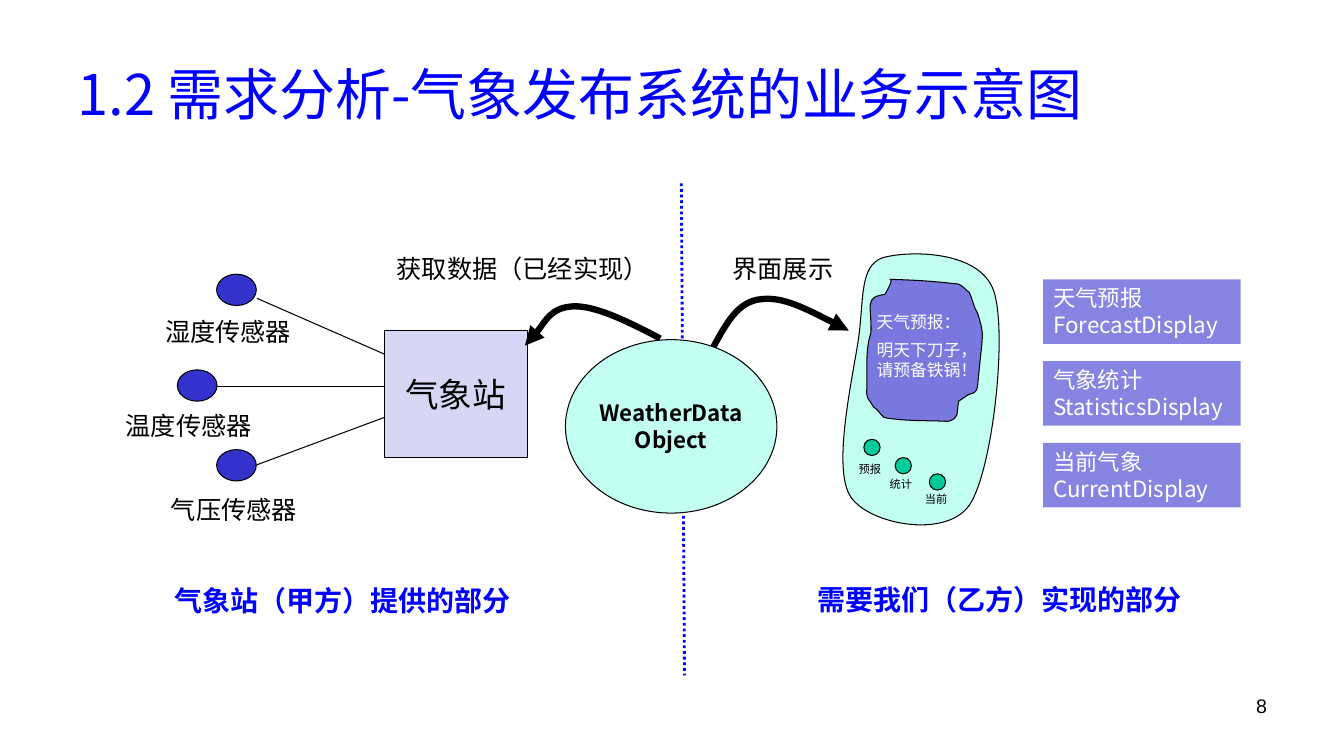
from dataclasses import dataclass

import pptx
import pptx.dml.color
import pptx.enum.dml
import pptx.enum.shapes
import pptx.enum.text
import pptx.oxml
import pptx.oxml.ns
import pptx.util
from lxml import etree

Cm, Pt = pptx.util.Cm, pptx.util.Pt
RGBColor = pptx.dml.color.RGBColor
Align = pptx.enum.text.PP_ALIGN
Anchor = pptx.enum.text.MSO_ANCHOR
Shape = pptx.enum.shapes.MSO_SHAPE
qn = pptx.oxml.ns.qn

FONT = "Noto Sans CJK SC"
BLACK = RGBColor(0x00, 0x00, 0x00)
WHITE = RGBColor(0xFF, 0xFF, 0xFF)
BLUE = RGBColor(0x00, 0x00, 0xFF)
SENSOR_BLUE = RGBColor(0x33, 0x33, 0xCC)
LAVENDER = RGBColor(0xD6, 0xD6, 0xF5)
MINT = RGBColor(0xC2, 0xFF, 0xF0)
VIOLET = RGBColor(0x78, 0x78, 0xDE)
GREEN = RGBColor(0x00, 0xCC, 0x99)

Point = tuple[float, float]
Box = tuple[float, float, float, float]


@dataclass(frozen=True)
class Sensor:
    name: str
    dot: Point
    label: Point
    wire_start: Point
    wire_end: Point


@dataclass(frozen=True)
class Label:
    text: str
    box: Box
    size: float = 18
    color: RGBColor = BLACK
    bold: bool = False


@dataclass(frozen=True)
class Button:
    name: str
    dot: Point
    label: Point


# All coordinates are in centimetres
SENSORS = [
    Sensor("湿度传感器", (5.46, 6.91), (3.91, 7.85), (6.48, 7.52), (9.68, 8.92)),
    Sensor("温度传感器", (4.47, 9.32), (2.92, 10.21), (5.46, 9.73), (9.68, 9.73)),
    Sensor("气压传感器", (5.46, 11.33), (4.06, 12.34), (6.48, 11.71), (9.68, 10.52)),
]
LABELS = [
    Label("获取数据（已经实现）", (9.75, 6.25, 6.93, 1.02)),
    Label("界面展示", (18.21, 6.25, 3.18, 1.02)),
    Label("气象站（甲方）提供的部分", (4.14, 14.58, 9.53, 1.12), 20, BLUE, True),
    Label("需要我们（乙方）实现的部分", (20.35, 14.55, 10.08, 1.12), 20, BLUE, True),
]
BUTTONS = [
    Button("预报", (21.77, 11.07), (21.39, 11.53)),
    Button("统计", (22.56, 11.53), (22.17, 11.91)),
    Button("当前", (23.42, 11.94), (23.06, 12.27)),
]
DISPLAYS = ["天气预报\nForecastDisplay", "气象统计\nStatisticsDisplay", "当前气象CurrentDisplay"]

# Curves: a start point, then two control points and an end point per segment
PHONE_BODY = [
    (21.64, 8.51),
    (21.49, 9.53), (20.96, 11.81), (21.44, 12.52),
    (21.89, 13.21), (23.83, 13.59), (24.43, 12.73),
    (25.02, 11.86), (25.4, 8.36), (25.04, 7.32),
    (24.66, 6.27), (22.81, 6.32), (22.23, 6.5),
    (21.67, 6.71), (21.77, 7.52), (21.64, 8.51),
]
PHONE_SCREEN = [
    (22.43, 7.04),
    (23.14, 7.06), (23.55, 7.09), (24.16, 7.16),
    (24.28, 7.21), (24.31, 7.29), (24.43, 7.37),
    (24.51, 7.54), (24.54, 7.75), (24.64, 7.9),
    (24.82, 8.51), (24.77, 8.28), (24.64, 9.7),
    (24.61, 9.96), (24.51, 9.88), (24.38, 9.96),
    (24.31, 10.01), (24.16, 10.11), (24.16, 10.11),
    (24.1, 10.46), (24.18, 10.52), (23.9, 10.62),
    (23.37, 10.59), (22.78, 10.62), (22.28, 10.52),
    (22.15, 10.41), (22.15, 10.34), (22.02, 10.26),
    (21.84, 9.98), (21.89, 10.11), (21.84, 9.91),
    (21.87, 9.4), (21.79, 8.86), (21.95, 8.38),
    (21.97, 7.7), (21.77, 7.49), (22.3, 7.42),
    (22.33, 7.37), (22.53, 7.04), (22.43, 7.04),
]
DATA_ARROW = [(16.64, 8.53), (15.82, 8.1), (15.01, 7.7), (14.45, 7.72),
              (13.87, 7.75), (13.44, 8.56), (13.23, 8.71)]
VIEW_ARROW = [(17.98, 8.74), (18.29, 8.18), (18.59, 7.59), (19.18, 7.54),
              (19.74, 7.47), (20.55, 7.9), (21.39, 8.33)]


def write(frame, text: str, *, size: float, color: RGBColor = BLACK, bold: bool = False,
          align=Align.LEFT, anchor=Anchor.TOP, wrap: bool = True, gap: float = 0,
          font: str = FONT) -> None:
    frame.word_wrap = wrap
    frame.vertical_anchor = anchor
    for index, line in enumerate(text.split("\n")):
        para = frame.paragraphs[0] if index == 0 else frame.add_paragraph()
        para.alignment = align
        para.space_before = Pt(gap if index else 0)
        span = para.add_run()
        span.text = line
        span.font.name, span.font.size, span.font.bold = font, Pt(size), bold
        span.font.color.rgb = color
        east_asian = etree.SubElement(span.font._element, qn("a:ea"))
        east_asian.set("typeface", font)


def add_text(shapes, text: str, box: Box, **style) -> None:
    write(shapes.add_textbox(*map(Cm, box)).text_frame, text, **style)


def paint(shape, fill: RGBColor | None, line: RGBColor | None = BLACK, width: float = 0.75) -> None:
    shape.shadow.inherit = False
    if fill is None:
        shape.fill.background()
    else:
        shape.fill.solid()
        shape.fill.fore_color.rgb = fill
    if line is None:
        shape.line.fill.background()
    else:
        shape.line.color.rgb = line
        shape.line.width = Pt(width)


def add_preset(shapes, kind, box: Box, fill: RGBColor, line: RGBColor | None = BLACK):
    shape = shapes.add_shape(kind, *map(Cm, box))
    paint(shape, fill, line)
    return shape


def add_line(shapes, start: Point, end: Point, color: RGBColor = BLACK, width: float = 0.75):
    line = shapes.add_connector(pptx.enum.shapes.MSO_CONNECTOR.STRAIGHT, *map(Cm, start + end))
    line.line.color.rgb = color
    line.line.width = Pt(width)
    etree.SubElement(line._element.spPr, qn("a:effectLst"))
    return line


def add_curve(shapes, points: list[Point], closed: bool):
    corners = [(Cm(x), Cm(y)) for x, y in points]
    builder = shapes.build_freeform(*corners[0])
    builder.add_line_segments(corners[1:], close=closed)
    shape = builder.convert_to_shape()
    # Join every three line segments into one Bezier segment
    segments = list(shape._element.iter(qn("a:lnTo")))
    for first in range(0, len(segments), 3):
        bezier = etree.Element(qn("a:cubicBezTo"))
        segments[first].addprevious(bezier)
        for segment in segments[first:first + 3]:
            bezier.append(segment[0])
            segment.getparent().remove(segment)
    return shape


def add_arrow(shapes, points: list[Point]) -> None:
    arrow = add_curve(shapes, points, closed=False)
    paint(arrow, None, width=4.5)
    etree.SubElement(arrow.line._get_or_add_ln(), qn("a:tailEnd")).set("type", "triangle")


def add_display(shapes, text: str, box: Box) -> None:
    display = add_preset(shapes, Shape.RECTANGLE, box, VIOLET, None)
    tint = display._element.spPr.find(".//" + qn("a:srgbClr"))
    etree.SubElement(tint, qn("a:alpha")).set("val", "90000")
    write(display.text_frame, text, size=16, color=WHITE)


def main() -> None:
    deck = pptx.Presentation()
    deck.slide_width, deck.slide_height = Cm(33.87), Cm(19.05)
    page = deck.slides.add_slide(deck.slide_layouts[5])
    shapes = page.shapes

    # Title and page number
    title = shapes.title
    title.left, title.top, title.width, title.height = map(Cm, (1.7, 0.76, 30.48, 3.18))
    write(title.text_frame, "1.2 需求分析-气象发布系统的业务示意图", size=40, color=BLUE,
          anchor=Anchor.MIDDLE)
    add_text(shapes, "8", (24.28, 17.35, 7.9, 1.32), size=14, align=Align.RIGHT, font="Arial")

    # Weather station and its sensors
    station = add_preset(shapes, Shape.RECTANGLE, (9.68, 8.33, 3.61, 3.2), LAVENDER)
    write(station.text_frame, "气象站", size=24, align=Align.CENTER, anchor=Anchor.MIDDLE, wrap=False)
    for sensor in SENSORS:
        add_preset(shapes, Shape.OVAL, (*sensor.dot, 1, 0.79), SENSOR_BLUE)
        add_text(shapes, sensor.name, (*sensor.label, 4.8, 1.02), size=18)
        add_line(shapes, sensor.wire_start, sensor.wire_end)

    # Handheld device
    phone = shapes.add_group_shape().shapes
    paint(add_curve(phone, PHONE_BODY, closed=True), MINT)
    paint(add_curve(phone, PHONE_SCREEN, closed=True), VIOLET)
    add_text(phone, "天气预报：\n明天下刀子，请预备铁锅！", (21.84, 7.72, 2.79, 2.06),
             size=12, color=WHITE, gap=6)
    for button in BUTTONS:
        add_preset(phone, Shape.OVAL, (*button.dot, 0.41, 0.41), GREEN)
        add_text(phone, button.name, (*button.label, 1.12, 0.61), size=8)

    # Divider, captions and arrows
    divider = add_line(shapes, (17.17, 4.62), (17.25, 17.02), BLUE, 2)
    divider.line.dash_style = pptx.enum.dml.MSO_LINE.ROUND_DOT
    for label in LABELS:
        add_text(shapes, label.text, label.box, size=label.size, color=label.color, bold=label.bold)
    for arrow in (DATA_ARROW, VIEW_ARROW):
        add_arrow(shapes, arrow)

    # Central data object and the displays
    data = add_preset(shapes, Shape.OVAL, (14.25, 8.56, 5.33, 4.37), MINT)
    write(data.text_frame, "WeatherData\nObject", size=16, bold=True, align=Align.CENTER,
          anchor=Anchor.MIDDLE, wrap=False)
    for row, text in enumerate(DISPLAYS):
        add_display(shapes, text, (26.29, 7.04 + 2.06 * row, 4.98, 1.63))

    deck.save("out.pptx")


if __name__ == "__main__":
    main()
